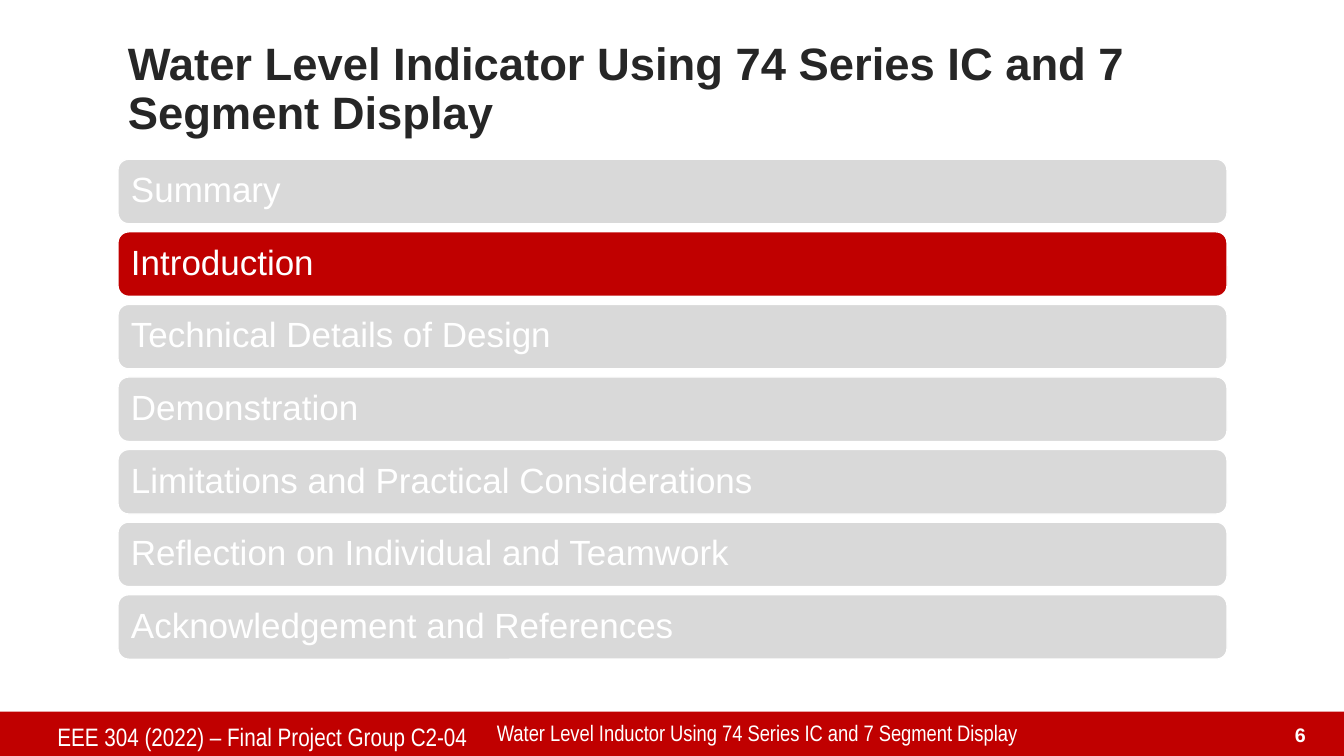
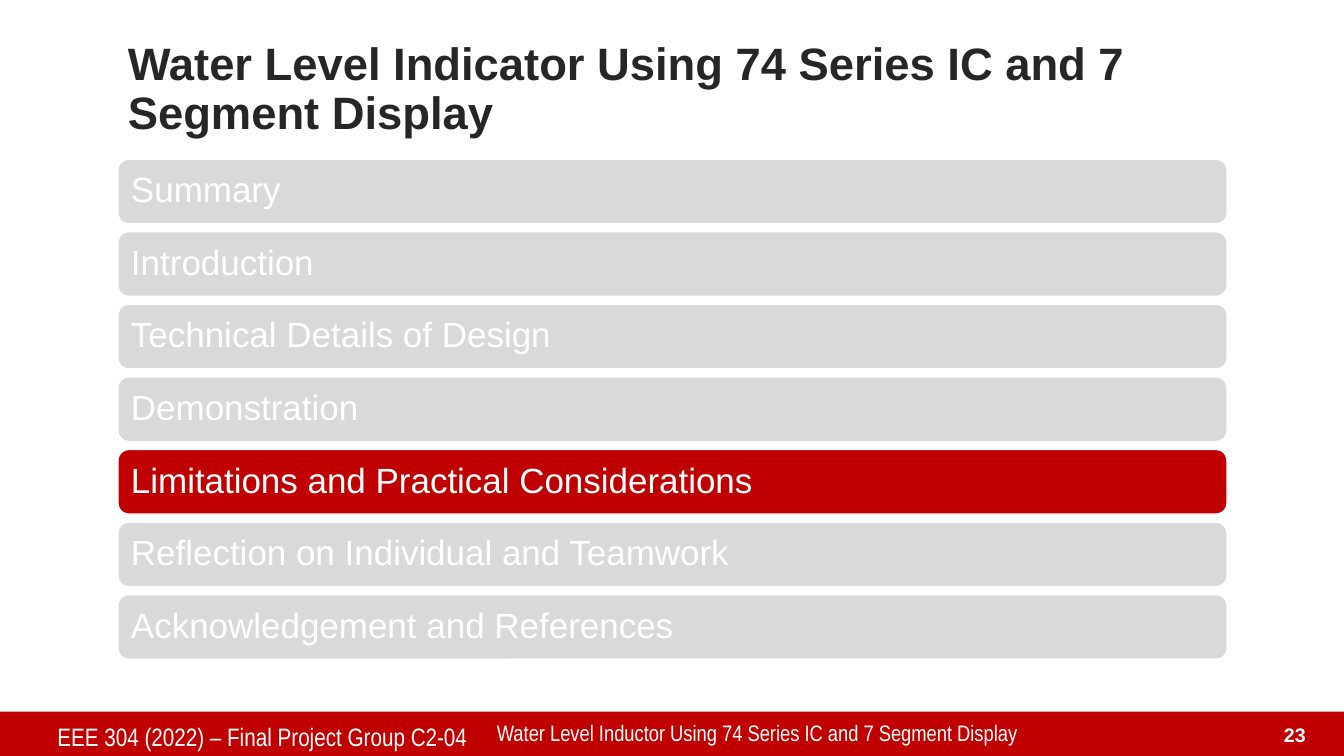
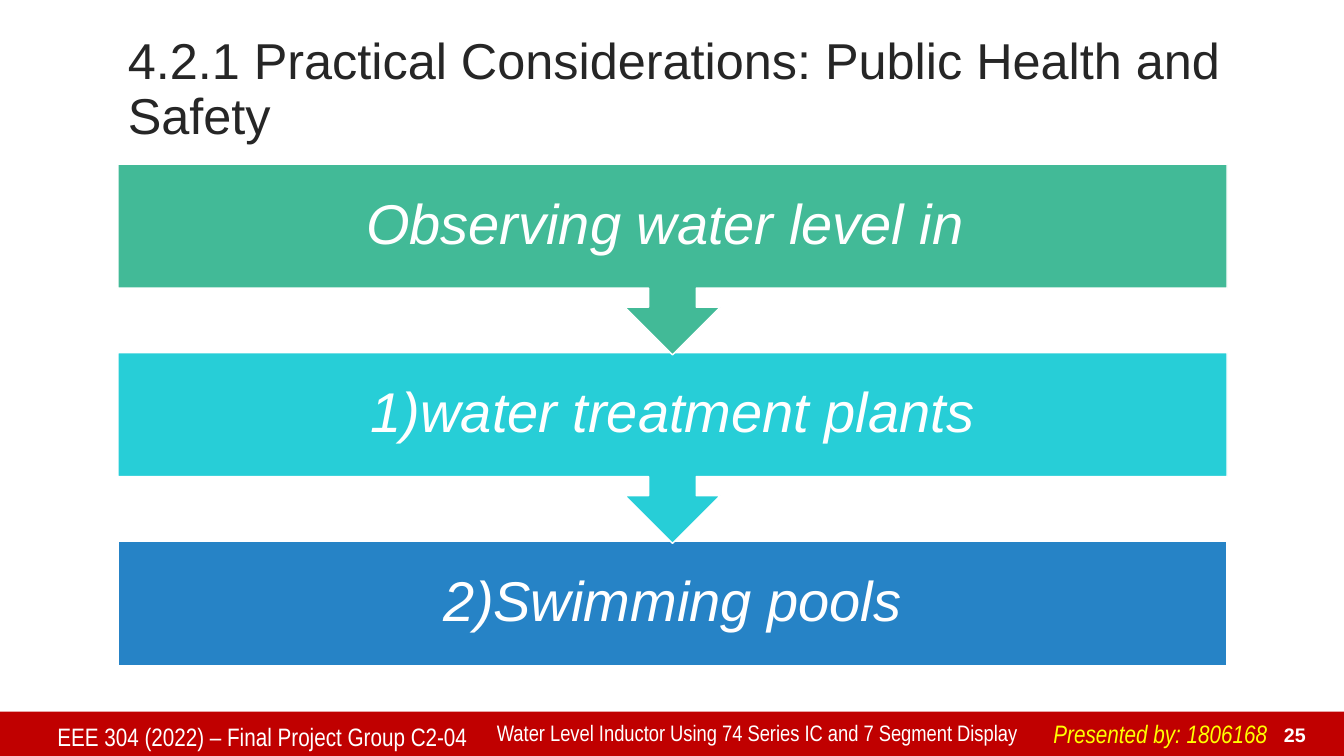
import dataclasses

import pptx
import pptx.dml.color
import pptx.enum.shapes
import pptx.enum.text
import pptx.util

Inches = pptx.util.Inches
SHAPE = pptx.enum.shapes.MSO_SHAPE
ALIGN = pptx.enum.text.PP_ALIGN
ANCHOR = pptx.enum.text.MSO_ANCHOR


@dataclasses.dataclass(frozen=True)
class Theme:
    red: str = "C00000"
    gray: str = "D9D9D9"
    white: str = "FFFFFF"
    ink: str = "262626"
    yellow: str = "FFFF00"
    green: str = "42BA97"
    cyan: str = "27CED7"
    blue: str = "2683C6"
    font: str = "Arial"
    narrow: str = "Arial Narrow"
    agenda_title: float = 32.4
    topic_title: float = 36
    agenda: float = 25
    flow: float = 40
    footer: float = 18
    footer_topic: float = 16
    number: float = 14


theme = Theme()

WIDTH, HEIGHT = 13.33, 7.5
MARGIN = 1.17
CONTENT = 11
BAND_TOP = 7.06

PROJECT = "Water Level Indicator Using 74 Series IC and 7 Segment Display"
SECTIONS = [
    "Summary",
    "Introduction",
    "Technical Details of Design",
    "Demonstration",
    "Limitations and Practical Considerations",
    "Reflection on Individual and Teamwork",
    "Acknowledgement and References",
]
AGENDA_TOP, AGENDA_PITCH, AGENDA_ROW = 1.58, 0.72, 0.64

FLOW = [
    ("Observing water level in ", theme.green),
    ("1)water treatment plants", theme.cyan),
    ("2)Swimming pools", theme.blue),
]
FLOW_TOP, FLOW_PITCH, FLOW_ROW, CALLOUT_HEIGHT = 1.63, 1.87, 1.23, 1.89

# title, type size, bold, title width, highlighted section, page number, presenter
PAGES = [
    (PROJECT, theme.agenda_title, True, CONTENT, "Introduction", "6", None),
    (PROJECT, theme.agenda_title, True, CONTENT,
     "Limitations and Practical Considerations", "23", None),
    ("4.2.1 Practical Considerations: Public Health and Safety",
     theme.topic_title, False, 12.5, None, "25", "Presented by: 1806168"),
]


def add_block(page, kind, place, fill, line=None):
    block = page.shapes.add_shape(kind, *map(Inches, place))
    block.shadow.inherit = False
    block.fill.solid()
    block.fill.fore_color.rgb = pptx.dml.color.RGBColor.from_string(fill)
    if line:
        block.line.color.rgb = pptx.dml.color.RGBColor.from_string(line)
        block.line.width = pptx.util.Pt(1)
    else:
        block.line.fill.background()
    return block


def write(page, target, text, size, color=theme.white, font=theme.font, bold=False,
          italic=False, align=ALIGN.LEFT, anchor=ANCHOR.TOP, spacing=1.0):
    """Write into a shape, or into a new text box when target is a place."""
    if isinstance(target, tuple):
        target = page.shapes.add_textbox(*map(Inches, target))
    frame = target.text_frame
    frame.word_wrap = True
    frame.vertical_anchor = anchor
    frame.text = text
    para = frame.paragraphs[0]
    para.alignment = align
    para.line_spacing = spacing
    span = para.runs[0]
    span.font.name = font
    span.font.size = pptx.util.Pt(size)
    span.font.bold = bold
    span.font.italic = italic
    span.font.color.rgb = pptx.dml.color.RGBColor.from_string(color)


deck = pptx.Presentation()
deck.slide_width, deck.slide_height = Inches(WIDTH), Inches(HEIGHT)

for title, title_size, bold, title_width, current, number, presenter in PAGES:
    page = deck.slides.add_slide(deck.slide_layouts[6])
    add_block(page, SHAPE.RECTANGLE, (0, BAND_TOP, WIDTH, HEIGHT - BAND_TOP), theme.red)
    write(page, (MARGIN, 0.5, title_width, 0.8), title, title_size, theme.ink,
          bold=bold, anchor=ANCHOR.MIDDLE, spacing=0.9)

    if current:
        for row, section in enumerate(SECTIONS):
            place = (MARGIN, AGENDA_TOP + row * AGENDA_PITCH, CONTENT, AGENDA_ROW)
            fill = theme.red if section == current else theme.gray
            bar = add_block(page, SHAPE.ROUNDED_RECTANGLE, place, fill, theme.white)
            write(page, bar, section, theme.agenda, anchor=ANCHOR.MIDDLE, spacing=0.9)
    else:
        # Bottom step first, so each arrow tip lies over the step below it
        for row, (step, fill) in reversed(list(enumerate(FLOW))):
            last = row == len(FLOW) - 1
            kind = SHAPE.RECTANGLE if last else SHAPE.DOWN_ARROW_CALLOUT
            height = FLOW_ROW if last else CALLOUT_HEIGHT
            place = (MARGIN, FLOW_TOP + row * FLOW_PITCH, CONTENT, height)
            block = add_block(page, kind, place, fill, theme.white)
            write(page, block, step, theme.flow, italic=True, align=ALIGN.CENTER,
                  anchor=ANCHOR.MIDDLE, spacing=0.9)

    write(page, (0.47, 7.11, 4.34, 0.43), "EEE 304 (2022) – Final Project Group C2-04",
          theme.footer, font=theme.narrow)
    write(page, (4.83, 7.09, 5.52, 0.36),
          "Water Level Inductor Using 74 Series IC and 7 Segment Display",
          theme.footer_topic, font=theme.narrow)
    write(page, (12.48, 7.11, 0.57, 0.34), number, theme.number, bold=True,
          align=ALIGN.RIGHT, anchor=ANCHOR.BOTTOM)
    if presenter:
        write(page, (10.35, 7.08, 2.35, 0.4), presenter, theme.footer, theme.yellow,
              theme.narrow, italic=True)

deck.save("out.pptx")
